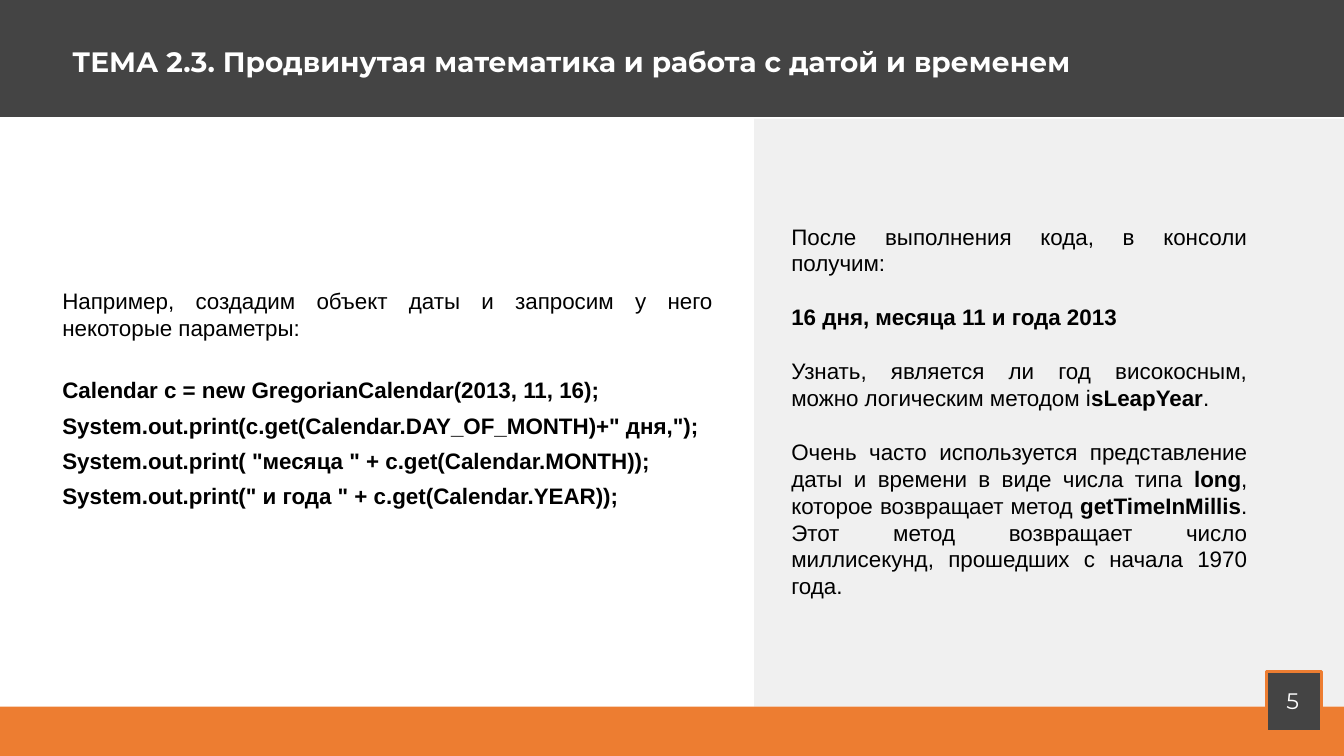
from dataclasses import dataclass

import pptx
import pptx.dml.color
import pptx.enum.shapes
import pptx.enum.text
import pptx.oxml.ns
import pptx.slide
import pptx.util
from lxml import etree

Inches = pptx.util.Inches
Pt = pptx.util.Pt
RGBColor = pptx.dml.color.RGBColor
Align = pptx.enum.text.PP_ALIGN

CHARCOAL = RGBColor(0x44, 0x44, 0x44)
ORANGE = RGBColor(0xED, 0x7D, 0x31)
WHITE = RGBColor(0xFF, 0xFF, 0xFF)
BLACK = RGBColor(0, 0, 0)
BLANK_LINE = 19.3
CODE_GAP = 6


@dataclass(frozen=True)
class Box:
    left: float
    top: float
    width: float
    height: float

    def lengths(self) -> list[int]:
        return [Inches(n) for n in (self.left, self.top, self.width, self.height)]


@dataclass(frozen=True)
class Panel:
    box: Box
    fill: RGBColor
    opacity: int = 100
    border: RGBColor | None = None


@dataclass(frozen=True)
class Paragraph:
    """Text in which ** switches bold on and off."""
    text: str
    align: Align = Align.LEFT
    before: float = 0


CONSOLE_PANEL = Panel(Box(7.48, 1.18, 5.85, 5.83), CHARCOAL, opacity=8)
FOOTER = Panel(Box(0, 7.01, 13.33, 0.49), ORANGE)
NUMBER_BADGE = Panel(Box(12.56, 6.66, 0.55, 0.6), CHARCOAL, border=ORANGE)
HEADER = Panel(Box(0, 0, 13.33, 1.16), CHARCOAL)

EXAMPLE = [
    Paragraph("Например, создадим объект даты и запросим у него некоторые параметры:",
              Align.JUSTIFY),
    Paragraph("**Calendar c = new GregorianCalendar(2013, 11, 16);**",
              before=BLANK_LINE + CODE_GAP),
    Paragraph('**System.out.print(c.get(Calendar.DAY_OF_MONTH)+" дня,");**', before=CODE_GAP),
    Paragraph('**System.out.print( "месяца " + c.get(Calendar.MONTH));**', before=CODE_GAP),
    Paragraph('**System.out.print(" и года " + c.get(Calendar.YEAR));**', before=CODE_GAP),
]
RESULT = [
    Paragraph("После выполнения кода, в консоли получим:", Align.JUSTIFY),
    Paragraph("**16 дня, месяца 11 и года 2013**", before=BLANK_LINE),
    Paragraph("Узнать, является ли год високосным, можно логическим методом i**sLeapYear**.",
              Align.JUSTIFY, BLANK_LINE),
    Paragraph("Очень часто используется представление даты и времени в виде числа типа "
              "**long**, которое возвращает метод **getTimeInMillis**. Этот метод возвращает "
              "число миллисекунд, прошедших с начала 1970 года.",
              Align.JUSTIFY, BLANK_LINE),
]


def draw_panel(slide: pptx.slide.Slide, panel: Panel) -> None:
    shape = slide.shapes.add_shape(
        pptx.enum.shapes.MSO_SHAPE.RECTANGLE, *panel.box.lengths())
    shape.shadow.inherit = False
    shape.fill.solid()
    shape.fill.fore_color.rgb = panel.fill
    if panel.opacity < 100:
        qn = pptx.oxml.ns.qn
        color = shape.fill._xPr.find(qn("a:solidFill")).find(qn("a:srgbClr"))
        etree.SubElement(color, qn("a:alpha"), val=str(panel.opacity * 1000))
    if panel.border is None:
        shape.line.fill.background()
    else:
        shape.line.color.rgb = panel.border
        shape.line.width = Pt(2.25)


def write(slide: pptx.slide.Slide, box: Box, paragraphs: list[Paragraph], *,
          font: str = "Arial", size: float = 16, color: RGBColor = BLACK,
          line_spacing: float = 1.0) -> None:
    frame = slide.shapes.add_textbox(*box.lengths()).text_frame
    frame.word_wrap = True
    for index, content in enumerate(paragraphs):
        paragraph = frame.add_paragraph() if index else frame.paragraphs[0]
        paragraph.alignment = content.align
        paragraph.space_before = Pt(content.before)
        paragraph.line_spacing = line_spacing
        for part, piece in enumerate(content.text.split("**")):
            if piece:
                run = paragraph.add_run()
                run.text = piece
                run.font.name = font
                run.font.size = Pt(size)
                run.font.bold = part % 2 == 1
                run.font.color.rgb = color


def main() -> None:
    deck = pptx.Presentation()
    deck.slide_width, deck.slide_height = Inches(13.33), Inches(7.5)
    slide = deck.slides.add_slide(deck.slide_layouts[6])
    for panel in (CONSOLE_PANEL, FOOTER, NUMBER_BADGE, HEADER):
        draw_panel(slide, panel)
    write(slide, Box(12.66, 6.77, 0.31, 0.37), [Paragraph("5")],
          font="Montserrat", color=WHITE, line_spacing=1.01)
    write(slide, Box(0.62, 0.37, 11.56, 0.46),
          [Paragraph("**ТЕМА 2.3. Продвинутая математика и работа с датой и временем**")],
          font="Montserrat", size=20, color=WHITE, line_spacing=1.07)
    write(slide, Box(0.52, 2.8, 6.65, 2.32), EXAMPLE)
    write(slide, Box(7.75, 2.16, 4.72, 3.87), RESULT)
    deck.save("out.pptx")


if __name__ == "__main__":
    main()
